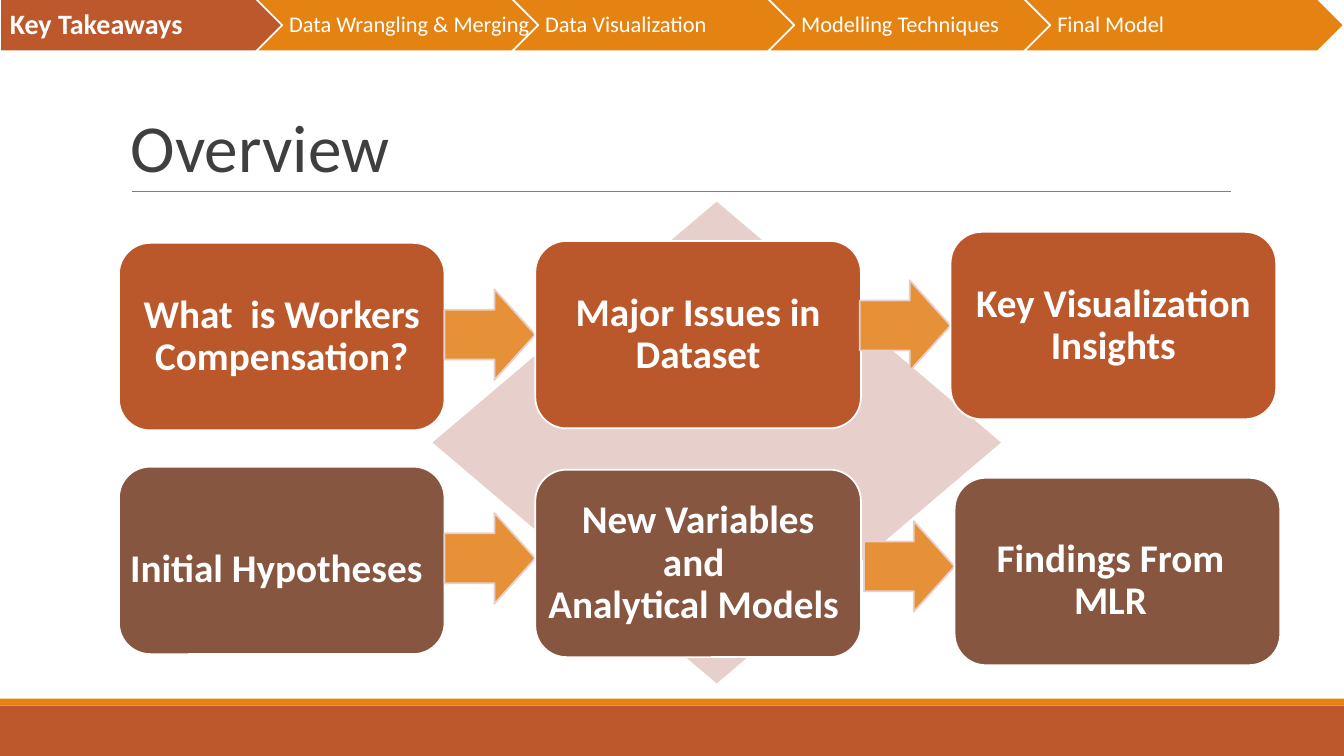
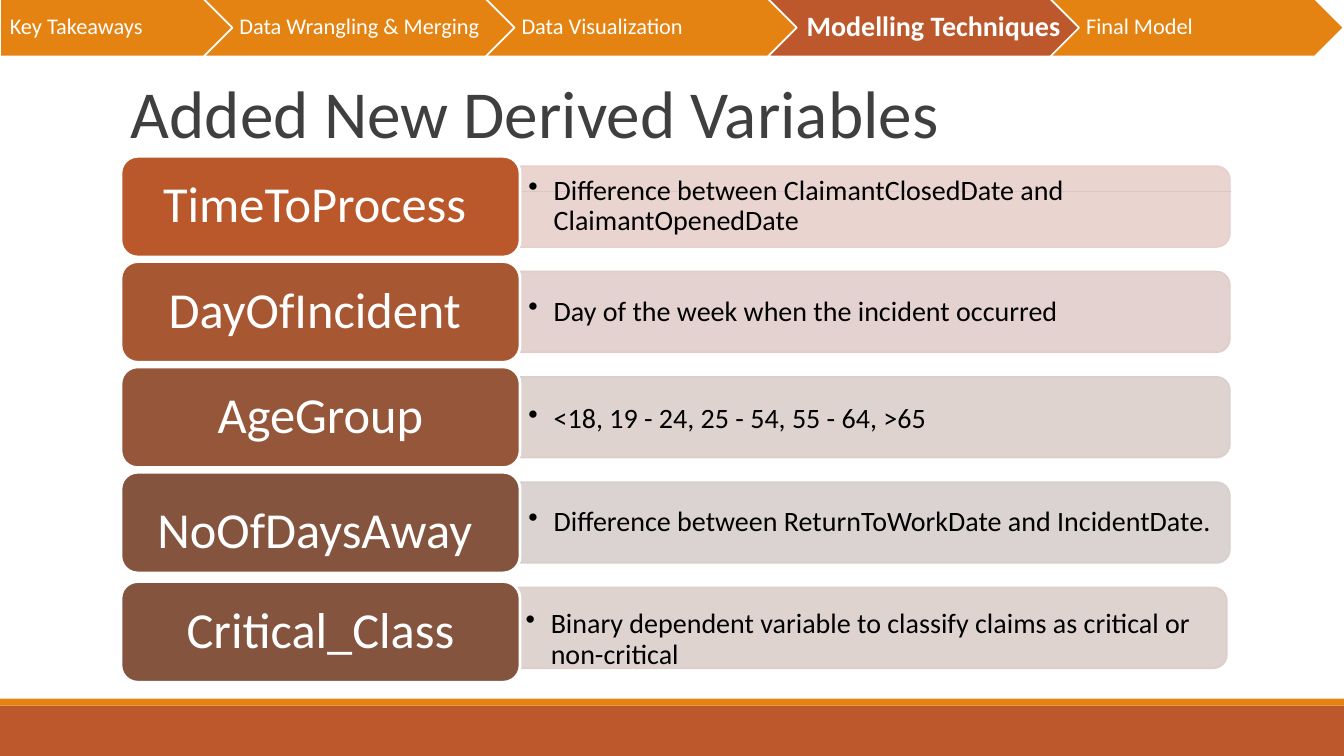
from dataclasses import dataclass

from lxml import etree
from pptx import Presentation
from pptx.dml.color import RGBColor
from pptx.enum.shapes import MSO_CONNECTOR, MSO_SHAPE
from pptx.enum.text import MSO_ANCHOR, MSO_AUTO_SIZE, PP_ALIGN
from pptx.oxml.ns import qn
from pptx.util import Inches, Pt

RECT, ROUND = MSO_SHAPE.RECTANGLE, MSO_SHAPE.ROUNDED_RECTANGLE
PLATE, CHEVRON = MSO_SHAPE.PENTAGON, MSO_SHAPE.CHEVRON
ARROW, DIAMOND = MSO_SHAPE.RIGHT_ARROW, MSO_SHAPE.DIAMOND
STRIP = MSO_SHAPE.ROUND_2_SAME_RECTANGLE
LEFT, CENTER = PP_ALIGN.LEFT, PP_ALIGN.CENTER
MIDDLE, BOTTOM = MSO_ANCHOR.MIDDLE, MSO_ANCHOR.BOTTOM


@dataclass(frozen=True)
class Theme:
    font: str = "Calibri"
    white: str = "FFFFFF"
    black: str = "000000"
    ink: str = "3F3F3F"
    gray: str = "7F7F7F"
    rust: str = "BD582C"
    amber: str = "E48312"
    brick: str = "BB582B"
    brown: str = "865640"
    peach: str = "E69138"
    blush: str = "E7D0CB"
    title: int = 48
    label: int = 36
    card: int = 28
    note: int = 20
    step: int = 16


T = Theme()
prs = Presentation()
prs.slide_width, prs.slide_height = Inches(13.333), Inches(7.5)
COL, ROW = prs.slide_width / 100, prs.slide_height / 100


def put(page, kind, x, y, w, h, fill, line=None, width=1.25):
    box = page.shapes.add_shape(kind, int(x * COL), int(y * ROW), int(w * COL), int(h * ROW))
    box.shadow.inherit = False
    box.fill.solid()
    box.fill.fore_color.rgb = RGBColor.from_string(fill)
    if line:
        box.line.color.rgb = RGBColor.from_string(line)
        box.line.width = Pt(width)
    else:
        box.line.fill.background()
    return box


def write(box, lines, size, color, align=LEFT, bold=False, pad=(7, 4, 7, 4), anchor=MIDDLE, space=0.9):
    frame = box.text_frame
    frame.word_wrap = True
    frame.auto_size = MSO_AUTO_SIZE.NONE
    frame.vertical_anchor = anchor
    frame.margin_left, frame.margin_top, frame.margin_right, frame.margin_bottom = map(Pt, pad)
    for i, line in enumerate(lines):
        para = frame.add_paragraph() if i else frame.paragraphs[0]
        para.alignment = align
        para.line_spacing = space
        run = para.add_run()
        run.text = line
        run.font.name, run.font.size, run.font.bold = T.font, Pt(size), bold
        run.font.color.rgb = RGBColor.from_string(color)
    return frame


layout = prs.slide_layouts[5]
for item in list(layout.placeholders):
    if item.placeholder_format.idx:
        item.element.getparent().remove(item.element)
first, second = [prs.slides.add_slide(layout) for _ in range(2)]

base = put(first, RECT, 0, 93.33, 100, 6.67, T.rust)
band = put(first, RECT, 0, 92.4, 100, 0.93, T.amber)
rule = first.shapes.add_connector(
    MSO_CONNECTOR.STRAIGHT, int(9.83 * COL), int(25.33 * ROW), int(91.58 * COL), int(25.33 * ROW))
rule.line.color.rgb = RGBColor.from_string(T.gray)
rule.line.width = Pt(0.75)
etree.SubElement(rule.element.spPr, qn("a:effectLst"))
for item in (base, band, rule):
    layout.shapes.element.append(item.element)

titles = [
    (first, "Overview", 4.13, 21.2),
    (second, "Added New Derived Variables", 7.6, 13.33),
]
for page, text, y, h in titles:
    head = page.shapes.title
    head.left, head.top = int(9 * COL), int(y * ROW)
    head.width, head.height = int(82.5 * COL), int(h * ROW)
    write(head, [text], T.title, T.ink, anchor=BOTTOM, space=0.85)

put(first, DIAMOND, 32.18, 26.67, 42.3, 63.73, T.blush)
CARD_W, CARD_H, ARROW_W, ARROW_H = 24.23, 24.8, 6.75, 12
even = (10, 9, 10, 9)
grid = [
    (T.brick, 0, [
        (8.85, 32.13, ["What  is Workers Compensation?"], CENTER, even),
        (39.83, 31.87, ["Major Issues in Dataset"], CENTER, even),
        (70.73, 30.67, ["Key Visualization Insights"], CENTER, even),
    ]),
    (T.brown, 0.67, [
        (8.85, 61.73, ["Initial Hypotheses"], LEFT, (1.5, 22, 1.5, 9)),
        (39.83, 62.13, ["New Variables and ", "Analytical Models "], CENTER, (2.2, 9, 2.2, 9)),
        (71.03, 63.2, ["Findings From MLR"], CENTER, (9, 22, 19, 9)),
    ]),
]
for fill, lift, cards in grid:
    for i, (x, y, lines, align, pad) in enumerate(cards):
        if i:
            mid = y + CARD_H / 2 - lift
            arrow = put(first, ARROW, x - ARROW_W, mid - ARROW_H / 2, ARROW_W, ARROW_H, T.peach, T.blush)
            arrow.adjustments[0], arrow.adjustments[1] = 0.55, 0.45
        card = put(first, ROUND, x, y, CARD_W, CARD_H, fill, T.white)
        write(card, lines, T.card, T.white, align, True, pad)

PITCH = 13.93
rows = [
    ("TimeToProcess ", "Difference between ClaimantClosedDate and ClaimantOpenedDate",
     "BB582B", "E7D0CB", 5, 0, 0, 0),
    ("DayOfIncident ", "Day of the week when the incident occurred",
     "A85733", "E1CECB", 5, 0, 0, 0),
    ("AgeGroup", "<18, 19 - 24, 25 - 54, 55 - 64, >65",
     "965639", "DCCFCB", 5, 0, 0, 0.27),
    ("NoOfDaysAway ", "Difference between ReturnToWorkDate and IncidentDate.",
     "84543F", "D7CFCC", 18, 0, 0, 0),
    ("Critical_Class", "Binary dependent variable to classify claims as critical or  non-critical",
     "84543F", "DCCFCB", 5, 0.22, 0.53, 1.6),
]
for i, (name, note, dark, pale, top, back, drop, sink) in enumerate(rows):
    y = i * PITCH
    strip = put(second, STRIP, 62.1 - back, y - 19.6, 6, 93.87, pale, pale)
    strip.rotation = 90
    tint = strip.element.spPr.find(qn("a:solidFill"))[0]
    etree.SubElement(tint, qn("a:alpha"), val="90000")
    text = second.shapes.add_textbox(
        int((38.7 - back) * COL), int((22.53 + y + sink) * ROW), int(52.5 * COL), int(9.6 * ROW))
    frame = write(text, [note], T.note, T.black, pad=(6, 3, 6, 3))
    props = frame.paragraphs[0]._p.get_or_add_pPr()
    props.set("marL", str(Inches(0.25)))
    props.set("indent", str(-Inches(0.25)))
    tone = etree.SubElement(props, qn("a:buClr"))
    etree.SubElement(tone, qn("a:srgbClr"), val=T.black)
    etree.SubElement(props, qn("a:buChar"), char="•")
    label = put(second, ROUND, 9, 20.67 + y + drop, 29.7, 13.33, dark, T.white, 2)
    write(label, [name], T.label, T.white, CENTER, pad=(11, top, 11, 5))

steps = ["Key Takeaways", "Data Wrangling & Merging", "Data Visualization",
         "Modelling Techniques", "Final Model"]
navs = [
    (first, 0, 6.93, [(19.05 * i, 23.8) for i in range(5)]),
    (second, 3, 7.6, [(0, 20.4), (15.15, 26.25), (36.15, 26.25), (57.15, 26.25), (78.15, 21.83)]),
]
for page, now, h, spans in navs:
    for i, (x, w) in enumerate(spans):
        live = i == now
        tab = put(page, CHEVRON if i else PLATE, x, -0.13, w, h, T.rust if live else T.amber, T.white)
        write(tab, [steps[i]], T.note if live else T.step, T.white, bold=live,
              pad=(7 if live or not i else 5, 4, 2, 4))

prs.save("out.pptx")
